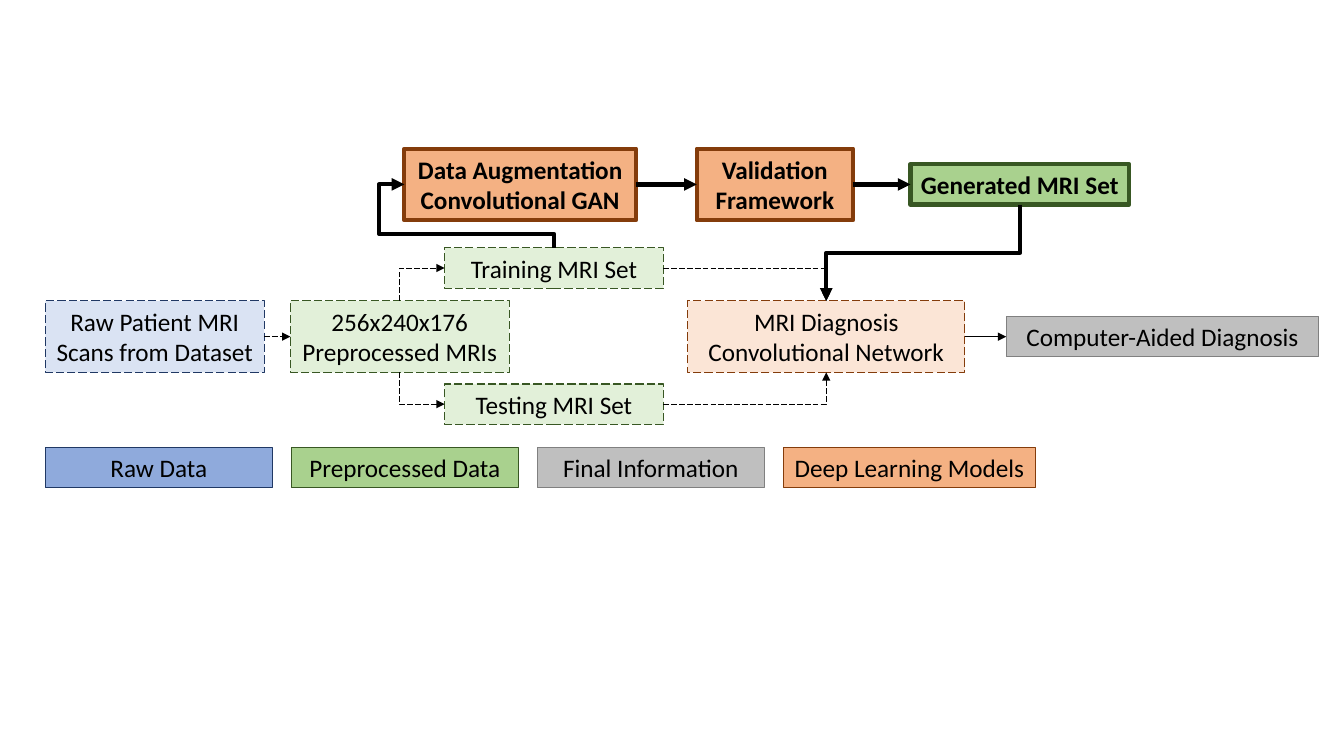
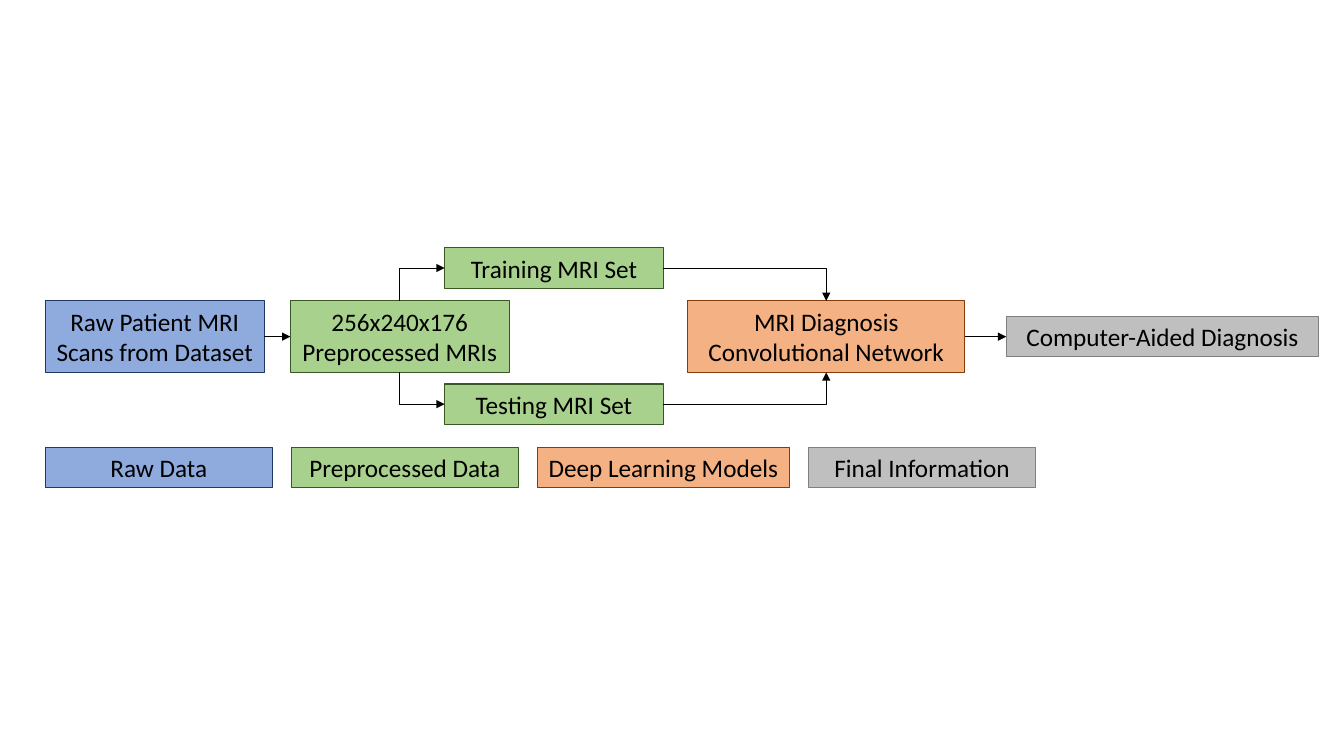
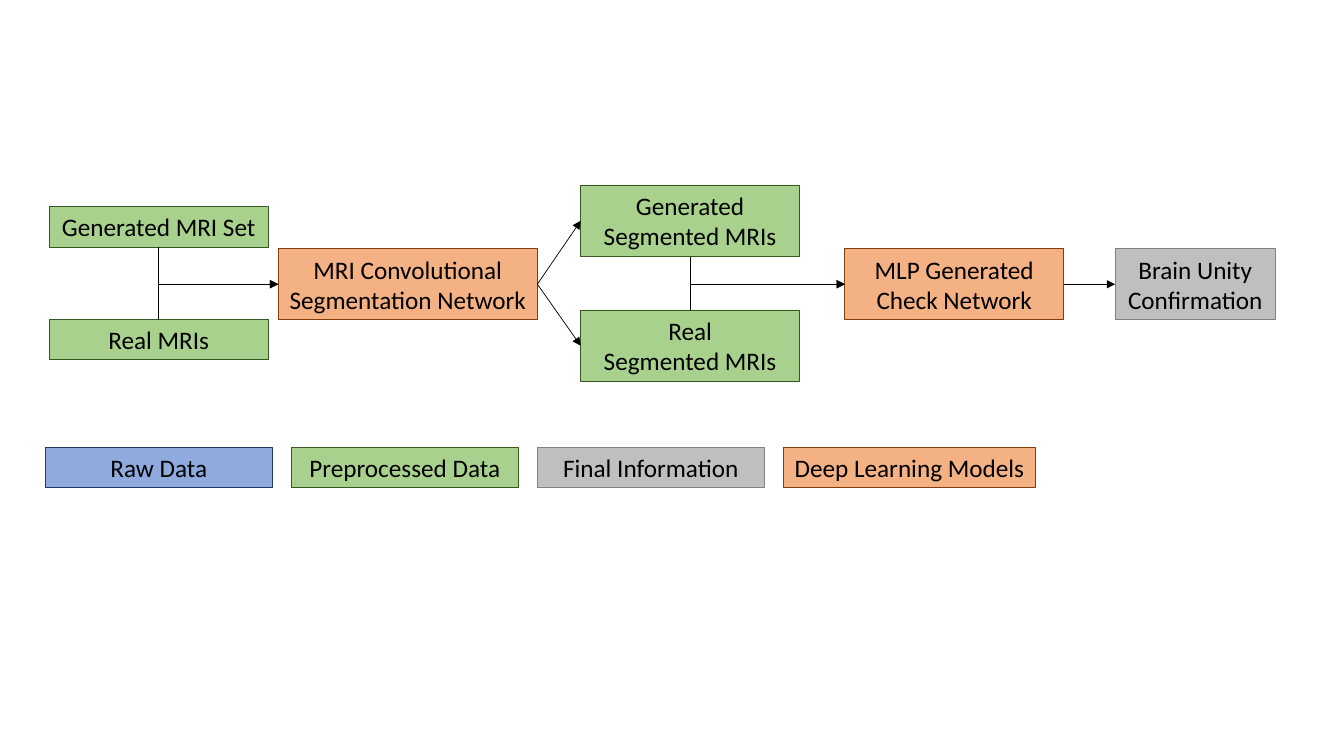
"""Builds three flow diagrams of an MRI diagnosis pipeline."""
from dataclasses import dataclass
from enum import IntEnum

from lxml.etree import SubElement
from pptx import Presentation
from pptx.dml.color import RGBColor
from pptx.enum.dml import MSO_LINE
from pptx.enum.shapes import MSO_CONNECTOR as CXN, MSO_SHAPE as SHAPE
from pptx.enum.text import MSO_ANCHOR, PP_ALIGN
from pptx.oxml.ns import qn
from pptx.util import Inches, Pt

FONT = "Calibri"
INK = "000000"
LINE_HEIGHTS = {1: 0.4, 2: 0.71}
NODE_W = 2.17
HAIR, THIN, THICK = 0.5, 0.75, 3
LEGEND_X, LEGEND_CY, LEGEND_W, LEGEND_GAP = 0.45, 4.64, 2.25, 0.19


class Side(IntEnum):
    TOP = 0
    LEFT = 1
    BOTTOM = 2
    RIGHT = 3


@dataclass(frozen=True)
class Tone:
    fill: str
    pale: str
    line: str


RAW = Tone("8FAADC", "DAE3F3", "203864")
DATA = Tone("A9D18E", "E2F0D9", "385723")
MODEL = Tone("F4B183", "FBE5D6", "843C0B")
FINAL = Tone("BFBFBF", "BFBFBF", "808080")


@dataclass(frozen=True)
class Box:
    text: str
    x: float
    cy: float
    tone: Tone
    w: float = NODE_W
    weight: float = THIN
    faded: bool = False
    bold: bool = False


@dataclass(frozen=True)
class Link:
    start: str
    out: Side
    end: str
    into: Side
    preset: str = ""
    weight: float = HAIR
    dashed: bool = False
    adjust: tuple[int, ...] = ()


LEGEND_RAW = ("Raw Data", RAW, LEGEND_W)
LEGEND_DATA = ("Preprocessed Data", DATA, LEGEND_W)
LEGEND_FINAL = ("Final Information", FINAL, LEGEND_W)
LEGEND_MODEL = ("Deep Learning Models", MODEL, 2.5)
LEGEND = (LEGEND_RAW, LEGEND_DATA, LEGEND_FINAL, LEGEND_MODEL)
LEGEND_MODEL_THIRD = (LEGEND_RAW, LEGEND_DATA, LEGEND_MODEL, LEGEND_FINAL)


def color(value: str) -> RGBColor:
    return RGBColor.from_string(value)


def write(sp, text: str, *, size: float = 18, bold: bool = False, ink: str = INK) -> None:
    tf = sp.text_frame
    tf.word_wrap = False
    tf.vertical_anchor = MSO_ANCHOR.MIDDLE
    tf.text = text
    for p in tf.paragraphs:
        p.alignment = PP_ALIGN.CENTER
        for r in p.runs:
            r.font.name = FONT
            r.font.size = Pt(size)
            r.font.bold = bold
            r.font.color.rgb = color(ink)


def style_line(line, ink: str, weight: float, dashed: bool) -> None:
    line.color.rgb = color(ink)
    line.width = Pt(weight)
    if dashed:
        line.dash_style = MSO_LINE.LONG_DASH


def draw_box(slide, box: Box):
    h = LINE_HEIGHTS[box.text.count("\n") + 1]
    sp = slide.shapes.add_shape(SHAPE.RECTANGLE, Inches(box.x), Inches(box.cy - h / 2),
                                Inches(box.w), Inches(h))
    sp.shadow.inherit = False
    sp.fill.solid()
    sp.fill.fore_color.rgb = color(box.tone.pale if box.faded else box.tone.fill)
    style_line(sp.line, box.tone.line, box.weight, box.faded)
    write(sp, box.text, bold=box.bold)
    return sp


def turn_upright(cxn) -> None:
    dx, dy = cxn.end_x - cxn.begin_x, cxn.end_y - cxn.begin_y
    mid_x, mid_y = (cxn.begin_x + cxn.end_x) // 2, (cxn.begin_y + cxn.end_y) // 2
    quarter = (dx > 0) != (dy > 0)
    cxn.width, cxn.height = abs(dy), abs(dx)
    cxn.left, cxn.top = mid_x - abs(dy) // 2, mid_y - abs(dx) // 2
    xfrm = cxn._element.spPr.find(qn("a:xfrm"))
    xfrm.set("rot", str((90 if quarter else 270) * 60000))
    xfrm.set("flipH", str(int((dy < 0) == quarter)))
    xfrm.set("flipV", str(int((dx > 0) if quarter else (dx < 0))))


def draw_link(slide, nodes: dict, link: Link) -> None:
    kind = CXN.ELBOW if link.preset else CXN.STRAIGHT
    cxn = slide.shapes.add_connector(kind, 0, 0, 0, 0)
    cxn.begin_connect(nodes[link.start], link.out)
    cxn.end_connect(nodes[link.end], link.into)
    sp_pr = cxn._element.spPr
    if link.preset:
        geom = sp_pr.find(qn("a:prstGeom"))
        geom.set("prst", link.preset)
        for i, value in enumerate(link.adjust, 1):
            SubElement(geom.find(qn("a:avLst")), qn("a:gd"), name=f"adj{i}", fmla=f"val {value}")
        if link.out in (Side.TOP, Side.BOTTOM):
            turn_upright(cxn)
    style_line(cxn.line, INK, link.weight, link.dashed)
    SubElement(sp_pr.find(qn("a:ln")), qn("a:tailEnd"), type="triangle")
    SubElement(sp_pr, qn("a:effectLst"))


def draw_diagram(prs, boxes: dict[str, Box], links: list[Link], legend: tuple) -> None:
    slide = prs.slides.add_slide(prs.slide_layouts[6])
    nodes = {key: draw_box(slide, box) for key, box in boxes.items()}
    for link in links:
        draw_link(slide, nodes, link)
    x = LEGEND_X
    for text, tone, w in legend:
        draw_box(slide, Box(text, x, LEGEND_CY, tone, w))
        x += w + LEGEND_GAP


def pipeline(faded: bool) -> tuple[dict[str, Box], list[Link]]:
    boxes = {
        "raw": Box("Raw Patient MRI\nScans from Dataset", 0.45, 3.34, RAW, faded=faded),
        "pre": Box("256x240x176\nPreprocessed MRIs", 2.88, 3.34, DATA, faded=faded),
        "train": Box("Training MRI Set", 4.41, 2.66, DATA, faded=faded),
        "test": Box("Testing MRI Set", 4.41, 4.01, DATA, faded=faded),
        "net": Box("MRI Diagnosis\nConvolutional Network", 6.82, 3.34, MODEL, 2.75, faded=faded),
        "result": Box("Computer-Aided Diagnosis", 9.98, 3.34, FINAL, 3.1),
    }
    bend = "bentConnector2"
    links = [
        Link("raw", Side.RIGHT, "pre", Side.LEFT, dashed=faded),
        Link("pre", Side.TOP, "train", Side.LEFT, bend, dashed=faded),
        Link("pre", Side.BOTTOM, "test", Side.LEFT, bend, dashed=faded),
        Link("train", Side.RIGHT, "net", Side.TOP, bend, dashed=faded),
        Link("test", Side.RIGHT, "net", Side.BOTTOM, bend, dashed=faded),
        Link("net", Side.RIGHT, "result", Side.LEFT),
    ]
    return boxes, links


def augmentation() -> tuple[dict[str, Box], list[Link]]:
    strong = {"weight": THICK, "bold": True}
    boxes = {
        "gan": Box("Data Augmentation\nConvolutional GAN", 4.01, 1.83, MODEL, 2.3, **strong),
        "check": Box("Validation\nFramework", 6.91, 1.83, MODEL, 1.55, **strong),
        "made": Box("Generated MRI Set", 9.03, 1.83, DATA, **strong),
    }
    links = [
        Link("train", Side.TOP, "gan", Side.LEFT, "bentConnector4", THICK, adjust=(21900, 116800)),
        Link("gan", Side.RIGHT, "check", Side.LEFT, weight=THICK),
        Link("check", Side.RIGHT, "made", Side.LEFT, weight=THICK),
        Link("made", Side.BOTTOM, "net", Side.TOP, "bentConnector3", THICK),
    ]
    return boxes, links


def validation() -> tuple[dict[str, Box], list[Link]]:
    boxes = {
        "made": Box("Generated MRI Set", 0.49, 2.25, DATA, weight=HAIR),
        "real": Box("Real MRIs", 0.49, 3.37, DATA, weight=HAIR),
        "segment": Box("MRI Convolutional\nSegmentation Network", 2.76, 2.82, MODEL, 2.57),
        "made_seg": Box("Generated\nSegmented MRIs", 5.76, 2.19, DATA, weight=HAIR),
        "real_seg": Box("Real\nSegmented MRIs", 5.76, 3.43, DATA, weight=HAIR),
        "mlp": Box("MLP Generated\nCheck Network", 8.38, 2.82, MODEL),
        "result": Box("Brain Unity\nConfirmation", 11.06, 2.82, FINAL, 1.59),
    }
    bend = "bentConnector2"
    links = [
        Link("made", Side.BOTTOM, "segment", Side.LEFT, bend),
        Link("real", Side.TOP, "segment", Side.LEFT, bend),
        Link("segment", Side.RIGHT, "made_seg", Side.LEFT),
        Link("segment", Side.RIGHT, "real_seg", Side.LEFT),
        Link("made_seg", Side.BOTTOM, "mlp", Side.LEFT, bend),
        Link("real_seg", Side.TOP, "mlp", Side.LEFT, bend),
        Link("mlp", Side.RIGHT, "result", Side.LEFT),
    ]
    return boxes, links


def main() -> None:
    prs = Presentation()
    prs.slide_width, prs.slide_height = Inches(13.33), Inches(7.5)
    base_boxes, base_links = pipeline(faded=True)
    new_boxes, new_links = augmentation()
    draw_diagram(prs, base_boxes | new_boxes, base_links + new_links, LEGEND)
    draw_diagram(prs, *pipeline(faded=False), LEGEND_MODEL_THIRD)
    draw_diagram(prs, *validation(), LEGEND)
    prs.save("out.pptx")


if __name__ == "__main__":
    main()
